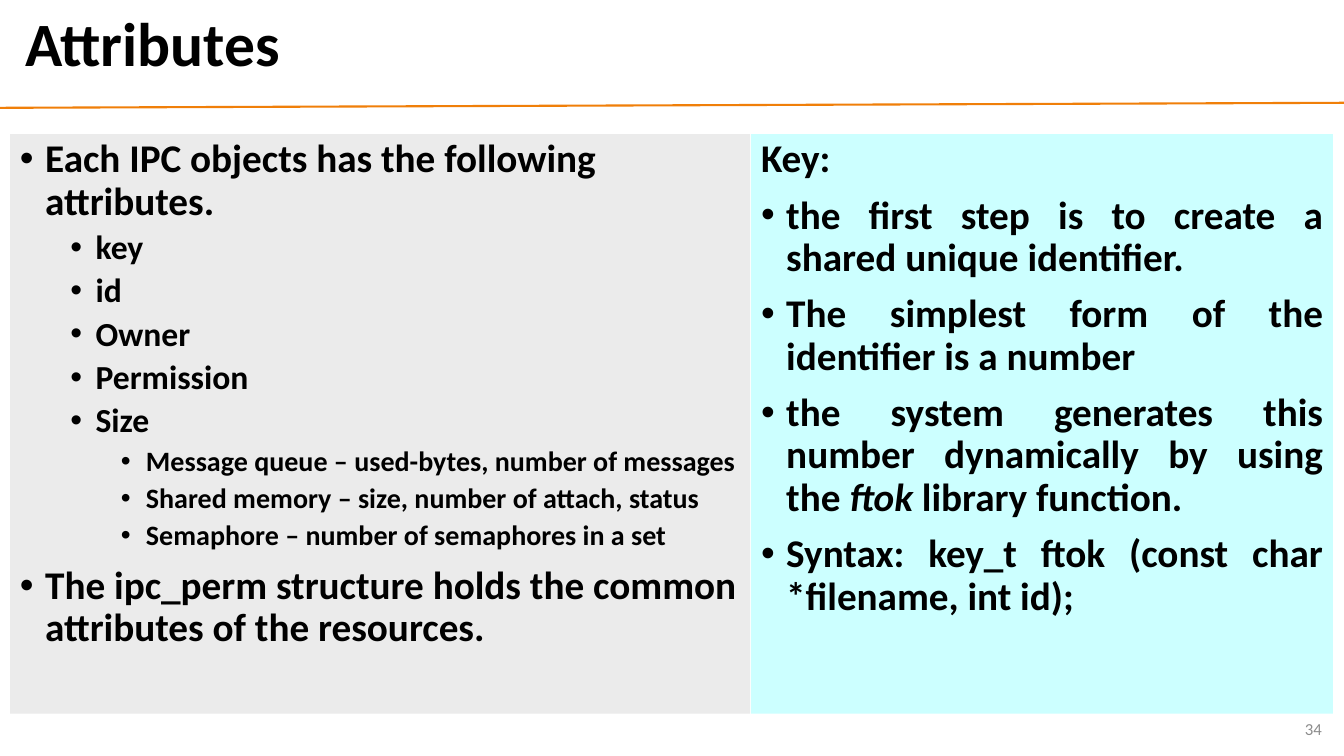
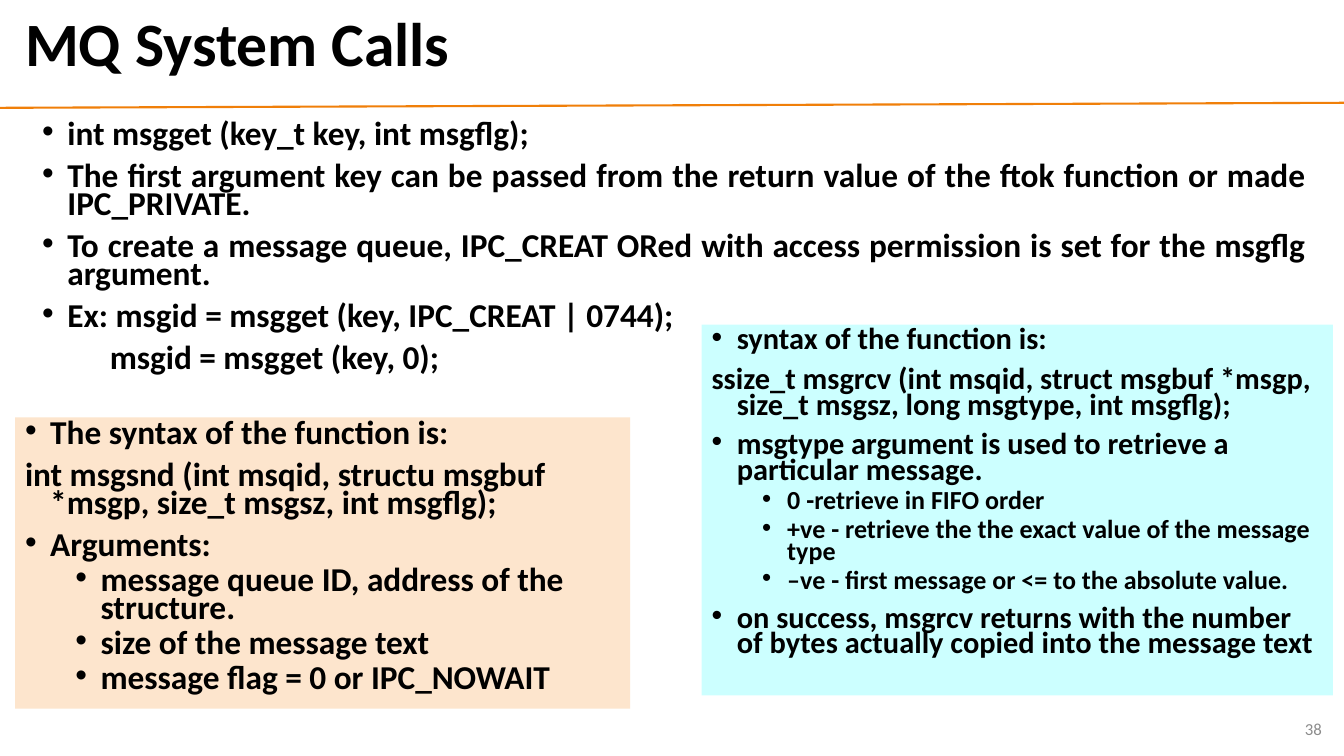
from lxml import etree
from pptx import Presentation
from pptx.dml.color import RGBColor
from pptx.enum.shapes import MSO_CONNECTOR, MSO_SHAPE
from pptx.enum.text import MSO_ANCHOR, PP_ALIGN
from pptx.oxml.ns import qn
from pptx.util import Inches, Pt

COLORS = {
    "text": "000000", "number": "8C8C8C", "rule": "F07F09",
    "gray": "EBEBEB", "cyan": "CCFFFF", "peach": "FDE5CD",
}
LEFT, RIGHT, JUSTIFY = PP_ALIGN.LEFT, PP_ALIGN.RIGHT, PP_ALIGN.JUSTIFY

# kind: (level, left margin, first-line indent, bullet, space before)
KINDS = {
    "plain": (0, 0, 0, False, 10),
    "hanging": (0, 0.25, -0.25, False, 10),
    "example": (0, 0.67, 0, False, 10),
    "point": (0, 0.25, -0.25, True, 10),
    "sub": (1, 0.75, -0.25, True, 5),
    "detail": (2, 1.25, -0.25, True, 5),
}

# Text given as a tuple alternates between upright and italic runs.
SLIDES = [
    {
        "title": "Attributes", "number": "34",
        "panels": [
            {"at": (0.1, 1.33, 7.34, 5.75), "fill": "gray", "align": LEFT,
             "spacing": 0.9, "sizes": (28, 24, 20), "lines": [
                 ("point", "Each IPC objects has the following attributes."),
                 ("sub", "key"),
                 ("sub", "id"),
                 ("sub", "Owner"),
                 ("sub", "Permission"),
                 ("sub", "Size"),
                 ("detail", "Message queue – used-bytes, number of messages"),
                 ("detail", "Shared memory – size, number of attach, status"),
                 ("detail", "Semaphore – number of semaphores in a set"),
                 ("point", "The ipc_perm structure holds the common attributes "
                           "of the resources."),
             ]},
            {"at": (7.45, 1.33, 5.77, 5.75), "fill": "cyan", "align": JUSTIFY,
             "spacing": 0.9, "sizes": (28,), "lines": [
                 ("plain", "Key:"),
                 ("point", "the first step is to create a shared unique identifier."),
                 ("point", "The simplest form of the identifier is a number"),
                 ("point", ("the system generates this number dynamically by using the ",
                            "ftok ", "library function.")),
                 ("point", "Syntax: key_t ftok (const char *filename, int id);"),
             ]},
        ],
    },
    {
        "title": "MQ System Calls", "number": "38",
        "panels": [
            {"at": (0.32, 1.17, 12.72, 2.76), "fill": None, "align": JUSTIFY,
             "spacing": 0.7, "sizes": (23.8,), "lines": [
                 ("point", "int msgget (key_t key, int msgflg);"),
                 ("point", "The first argument key can be passed from the return value "
                           "of the ftok function or made IPC_PRIVATE."),
                 ("point", "To create a message queue, IPC_CREAT ORed with access "
                           "permission is set for the msgflg argument."),
                 ("point", "Ex: msgid = msgget (key, IPC_CREAT | 0744);"),
                 ("example", "msgid = msgget (key, 0);"),
             ]},
            {"at": (0.15, 4.14, 6.1, 2.89), "fill": "peach", "align": LEFT,
             "spacing": 0.7, "sizes": (23.8, 23.8), "lines": [
                 ("point", "The syntax of the function is:"),
                 ("hanging", "int msgsnd (int msqid, structu msgbuf *msgp, "
                             "size_t msgsz, int msgflg);"),
                 ("point", "Arguments:"),
                 ("sub", "message queue ID, address of the structure."),
                 ("sub", "size of the message text"),
                 ("sub", "message flag = 0 or IPC_NOWAIT"),
             ]},
            {"at": (6.96, 3.22, 6.26, 3.68), "fill": "cyan", "align": LEFT,
             "spacing": 0.7, "sizes": (21.7, 18.6), "lines": [
                 ("point", "syntax of the function is:"),
                 ("hanging", "ssize_t msgrcv (int msqid, struct msgbuf *msgp, "
                             "size_t msgsz, long msgtype, int msgflg);"),
                 ("point", "msgtype argument is used to retrieve a particular message."),
                 ("sub", "0 -retrieve in FIFO order"),
                 ("sub", "+ve - retrieve the the exact value of the message type"),
                 ("sub", "–ve - first message or <= to the absolute value."),
                 ("point", "on success, msgrcv returns with the number of bytes "
                           "actually copied into the message text"),
             ]},
        ],
    },
]


def add_text_area(slide, at, fill=None, anchor=MSO_ANCHOR.TOP):
    """Add a filled rectangle, or a text box without fill; return its text frame."""
    box = [Inches(length) for length in at]
    if fill:
        area = slide.shapes.add_shape(MSO_SHAPE.RECTANGLE, *box)
        area.shadow.inherit = False
        area.fill.solid()
        area.fill.fore_color.rgb = RGBColor.from_string(COLORS[fill])
        area.line.fill.background()
    else:
        area = slide.shapes.add_textbox(*box)
    area.text_frame.word_wrap = True
    area.text_frame.vertical_anchor = anchor
    return area.text_frame


def add_run(paragraph, text, size, color="text", bold=True, italic=False):
    run = paragraph.add_run()
    run.text = text
    style = {"name": "Calibri", "size": Pt(size), "bold": bold, "italic": italic}
    for name, value in style.items():
        setattr(run.font, name, value)
    run.font.color.rgb = RGBColor.from_string(COLORS[color])


deck = Presentation()
deck.slide_width, deck.slide_height = Inches(13.33), Inches(7.5)

for content in SLIDES:
    slide = deck.slides.add_slide(deck.slide_layouts[6])

    rule = slide.shapes.add_connector(
        MSO_CONNECTOR.STRAIGHT, Inches(0), Inches(1.07), Inches(13.33), Inches(1.02))
    rule.line.color.rgb = RGBColor.from_string(COLORS["rule"])
    rule.line.width = Pt(1.5)
    etree.SubElement(rule._element.spPr, qn("a:effectLst"))

    title = add_text_area(slide, (0.15, 0.05, 12.89, 0.83), anchor=MSO_ANCHOR.MIDDLE)
    title.paragraphs[0].line_spacing = 0.9
    add_run(title.paragraphs[0], content["title"], 44)

    number = add_text_area(slide, (10.21, 7.03, 3, 0.4), anchor=MSO_ANCHOR.MIDDLE)
    number.paragraphs[0].alignment = RIGHT
    add_run(number.paragraphs[0], content["number"], 12, "number", bold=False)

    for panel in content["panels"]:
        body = add_text_area(slide, panel["at"], panel["fill"])
        for index, (kind, text) in enumerate(panel["lines"]):
            level, margin, indent, bullet, space = KINDS[kind]
            paragraph = body.add_paragraph() if index else body.paragraphs[0]
            properties = paragraph._p.get_or_add_pPr()
            properties.set("marL", str(Inches(margin)))
            properties.set("indent", str(Inches(indent)))
            if bullet:
                etree.SubElement(properties, qn("a:buFont"), typeface="Arial")
                etree.SubElement(properties, qn("a:buChar"), char="•")
            layout = {"level": level, "alignment": panel["align"],
                      "line_spacing": panel["spacing"]}
            if index:
                layout["space_before"] = Pt(space)
            for name, value in layout.items():
                setattr(paragraph, name, value)
            pieces = text if isinstance(text, tuple) else (text,)
            for position, piece in enumerate(pieces):
                add_run(paragraph, piece, panel["sizes"][level], italic=position % 2 == 1)

deck.save("out.pptx")
